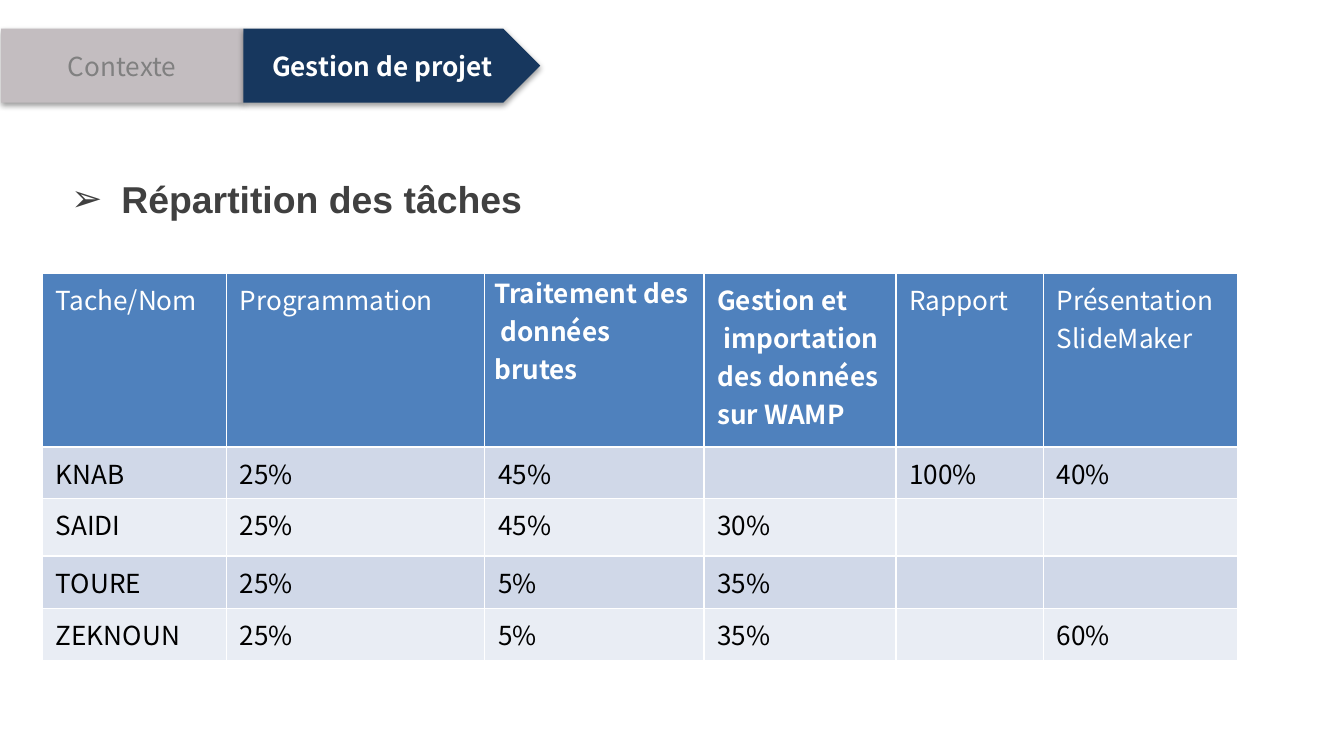
from lxml.etree import SubElement
from pptx import Presentation
from pptx.dml.color import RGBColor
from pptx.enum.shapes import MSO_SHAPE
from pptx.enum.text import MSO_ANCHOR, MSO_AUTO_SIZE, PP_ALIGN
from pptx.oxml.ns import qn
from pptx.util import Cm, Pt

BODY_FONT = "Noto Sans CJK KR"
WHITE = "FFFFFF"
HEADER_FILL = "4F81BD"
BAND_FILLS = ("D0D8E8", "E9EDF4")

COLUMN_WIDTHS = (3.48, 4.88, 4.14, 3.63, 2.79, 3.68)
ROW_HEIGHTS = (3.28, 0.84, 1.09, 0.99, 0.99)
HEADERS = (
    (["Tache/Nom"], False),
    (["Programmation"], False),
    (["Traitement des\v données brutes"], True),
    (["Gestion et", " importation des données sur WAMP"], True),
    (["Rapport"], False),
    (["Présentation", "SlideMaker"], False),
)
SHARES = (
    ("KNAB", "25%", "45%", "", "100%", "40%"),
    ("SAIDI", "25%", "45%", "30%", "", ""),
    ("TOURE", "25%", "5%", "35%", "", ""),
    ("ZEKNOUN", "25%", "5%", "35%", "", "60%"),
)


def paint(color_format, color):
    color_format.rgb = RGBColor.from_string(color)


def fill_with(part, color):
    part.fill.solid()
    paint(part.fill.fore_color, color)


def add_run(paragraph, text, color, bold=False, size=14, font=BODY_FONT):
    run = paragraph.add_run()
    run.text = text
    run.font.name = font
    run.font.size = Pt(size)
    run.font.bold = bold
    paint(run.font.color, color)


def add_lines(frame, lines, color, bold=False):
    for number, line in enumerate(lines):
        paragraph = frame.add_paragraph() if number else frame.paragraphs[0]
        for part_number, part in enumerate(line.split("\v")):
            if part_number:
                paragraph.add_line_break()
            add_run(paragraph, part, color, bold)


def add_shadow(shape):
    shape.shadow.inherit = False
    effects = shape._element.spPr.find(qn("a:effectLst"))
    shadow = SubElement(effects, qn("a:outerShdw"), blurRad="40000",
                        dist="20000", dir="5400000", rotWithShape="0")
    tint = SubElement(shadow, qn("a:srgbClr"), val="000000")
    SubElement(tint, qn("a:alpha"), val="38000")


def add_step(slide, left, width, label, fill, color, point=0.5, bold=False):
    step = slide.shapes.add_shape(MSO_SHAPE.PENTAGON, Cm(left), Cm(0.54), Cm(width), Cm(1.4))
    step.adjustments[0] = point
    fill_with(step, fill)
    step.line.fill.background()
    add_shadow(step)
    frame = step.text_frame
    frame.vertical_anchor = MSO_ANCHOR.MIDDLE
    frame.paragraphs[0].alignment = PP_ALIGN.CENTER
    add_run(frame.paragraphs[0], label, color, bold)


def set_title(slide, text):
    title = slide.shapes.title
    title.left, title.top, title.width, title.height = Cm(1.09), Cm(3.15), Cm(11), Cm(1.19)
    frame = title.text_frame
    frame.auto_size = MSO_AUTO_SIZE.NONE
    frame.vertical_anchor = MSO_ANCHOR.MIDDLE
    heading = frame.paragraphs[0]
    heading.alignment = PP_ALIGN.LEFT
    heading.space_before = Pt(12)
    properties = heading._p.get_or_add_pPr()
    properties.set("marL", str(Cm(0.95)))
    properties.set("indent", str(-Cm(0.95)))
    SubElement(properties, qn("a:buFont"), typeface="Arial")
    SubElement(properties, qn("a:buChar"), char="➢")
    add_run(heading, text, "404040", True, 20, "Arial")


def style_cell(cell, fill):
    properties = cell._tc.get_or_add_tcPr()
    for side in ("L", "R", "T", "B"):
        border = SubElement(properties, qn(f"a:ln{side}"), w=str(Pt(1)))
        SubElement(SubElement(border, qn("a:solidFill")), qn("a:srgbClr"), val=WHITE)
    fill_with(cell, fill)


def add_task_table(slide):
    table = slide.shapes.add_table(
        len(ROW_HEIGHTS), len(COLUMN_WIDTHS), Cm(0.8), Cm(5.16),
        Cm(sum(COLUMN_WIDTHS)), Cm(sum(ROW_HEIGHTS))).table
    for column, width in zip(table.columns, COLUMN_WIDTHS):
        column.width = Cm(width)
    for row, height in zip(table.rows, ROW_HEIGHTS):
        row.height = Cm(height)

    for column, (lines, bold) in enumerate(HEADERS):
        header = table.cell(0, column)
        style_cell(header, HEADER_FILL)
        add_lines(header.text_frame, lines, WHITE, bold)
    raw_data = table.cell(0, 2)
    raw_data.margin_left = raw_data.margin_right = Cm(0.18)
    raw_data.margin_top = raw_data.margin_bottom = Cm(0)

    for row, shares in enumerate(SHARES, start=1):
        for column, share in enumerate(shares):
            cell = table.cell(row, column)
            style_cell(cell, BAND_FILLS[(row - 1) % 2])
            if share:
                add_lines(cell.text_frame, [share], "000000")
            else:
                SubElement(cell.text_frame.paragraphs[0]._p, qn("a:endParaRPr"), sz="1400")


def main():
    deck = Presentation()
    deck.slide_width, deck.slide_height = Cm(25.4), Cm(14.28)
    slide = deck.slides.add_slide(deck.slide_layouts[5])
    add_step(slide, 0.02, 4.58, "Contexte", "C3BDC0", "808080", point=0)
    add_step(slide, 4.6, 5.61, "Gestion de projet", "17375E", WHITE, bold=True)
    set_title(slide, "Répartition des tâches")
    add_task_table(slide)
    deck.save("out.pptx")


if __name__ == "__main__":
    main()
